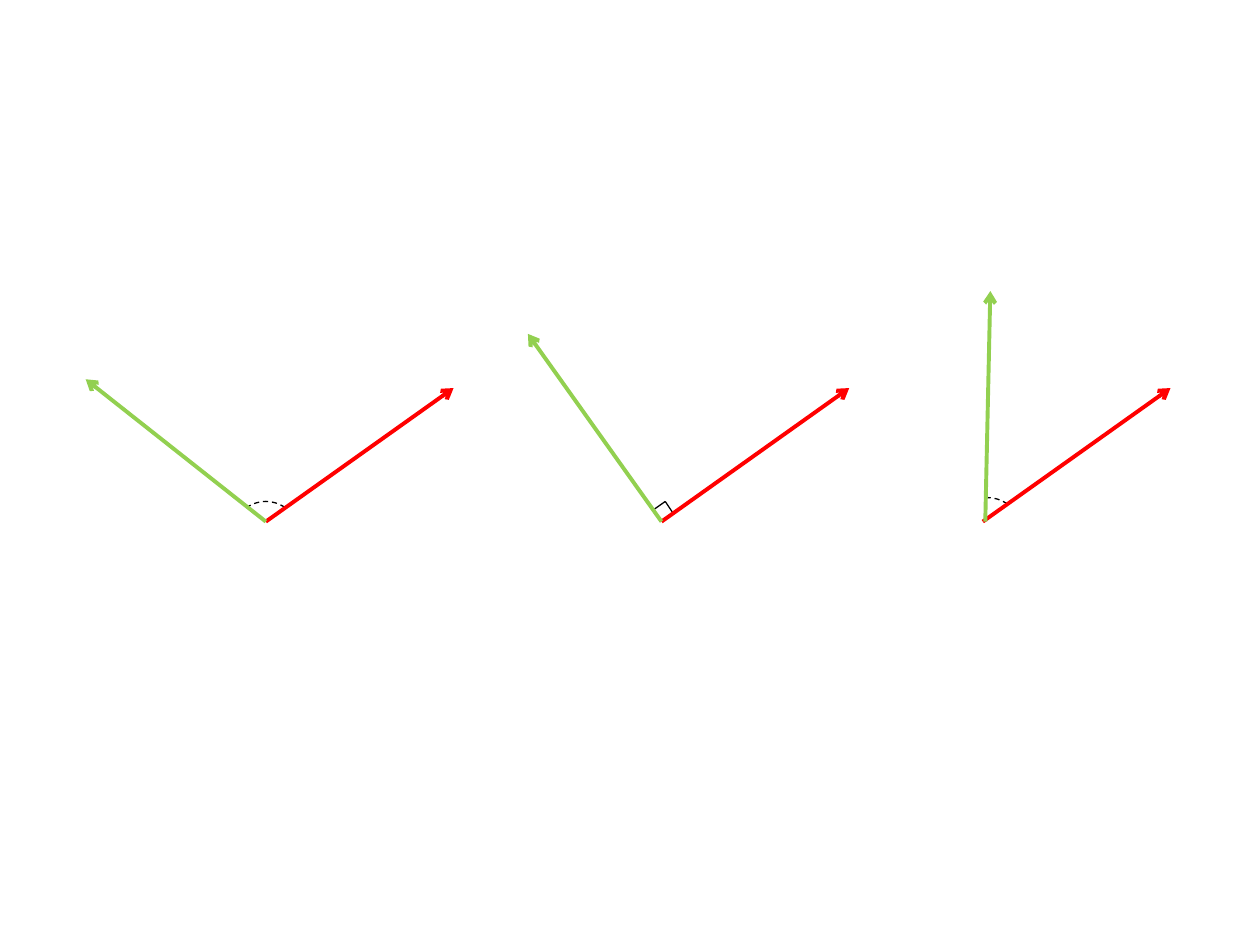
"""Builds a slide comparing obtuse, right and acute angles between two vectors."""
import pptx
import pptx.dml.color
import pptx.enum.dml
import pptx.enum.shapes
import pptx.oxml.ns
import pptx.oxml.xmlchemy
import pptx.util

Inches = pptx.util.Inches


def colour(hex_value):
    return pptx.dml.color.RGBColor.from_string(hex_value)


class AngleSlide:
    INK, RED, GREEN = "000000", "FF0000", "92D050"
    THIN, THICK = 0.75, 2.25
    RED_SPAN = (1.49, -1.06)
    ARC_SIZE = (0.88, 1.54)

    def __init__(self, presentation):
        self.slide = presentation.slides.add_slide(presentation.slide_layouts[6])

    def format_line(self, line, hex_value, **values):
        line.color.rgb = colour(hex_value)
        for name, value in values.items():
            setattr(line, name, value)

    def segment(self, start, end, hex_value=INK, width=THIN):
        connector = self.slide.shapes.add_connector(
            pptx.enum.shapes.MSO_CONNECTOR.STRAIGHT,
            *(Inches(value) for value in (*start, *end)))
        self.format_line(connector.line, hex_value, width=pptx.util.Pt(width))
        properties = connector.element.spPr
        properties.append(pptx.oxml.xmlchemy.OxmlElement("a:effectLst"))
        return properties.find(pptx.oxml.ns.qn("a:ln"))

    def vector(self, start, end, hex_value):
        outline = self.segment(start, end, hex_value, self.THICK)
        tip = pptx.oxml.xmlchemy.OxmlElement("a:tailEnd")
        tip.set("type", "arrow")
        outline.append(tip)

    def vector_pair(self, origin, green_tip, green_start=None):
        red_tip = [value + span for value, span in zip(origin, self.RED_SPAN)]
        self.vector(origin, red_tip, self.RED)
        self.vector(green_start or origin, green_tip, self.GREEN)

    def angle_arc(self, left, top, degrees):
        arc = self.slide.shapes.add_shape(
            pptx.enum.shapes.MSO_SHAPE.ARC,
            *(Inches(value) for value in (left, top, *self.ARC_SIZE)))
        arc.shadow.inherit = False
        arc.fill.background()
        self.format_line(arc.line, self.INK, width=pptx.util.Pt(self.THIN),
                         dash_style=pptx.enum.dml.MSO_LINE.DASH)
        for index, angle in enumerate(degrees):
            arc.adjustments[index] = angle * 0.6

    def right_angle_mark(self, green_side, corner, red_side):
        for side in (green_side, red_side):
            self.segment(side, corner)


def main():
    presentation = pptx.Presentation()
    presentation.slide_width, presentation.slide_height = Inches(10), Inches(7.5)
    angles = AngleSlide(presentation)

    angles.angle_arc(7.4, 3.95, (268.69, 281.8))
    angles.right_angle_mark((5.18, 4.05), (5.28, 3.98), (5.34, 4.07))
    angles.vector_pair((5.25, 4.14), (4.19, 2.65))
    angles.vector_pair((7.8, 4.14), (7.86, 2.31), green_start=(7.82, 4.14))
    angles.angle_arc(1.67, 3.98, (257.75, 281.8))
    angles.vector_pair((2.11, 4.14), (0.68, 3.01))

    presentation.save("out.pptx")


if __name__ == "__main__":
    main()
